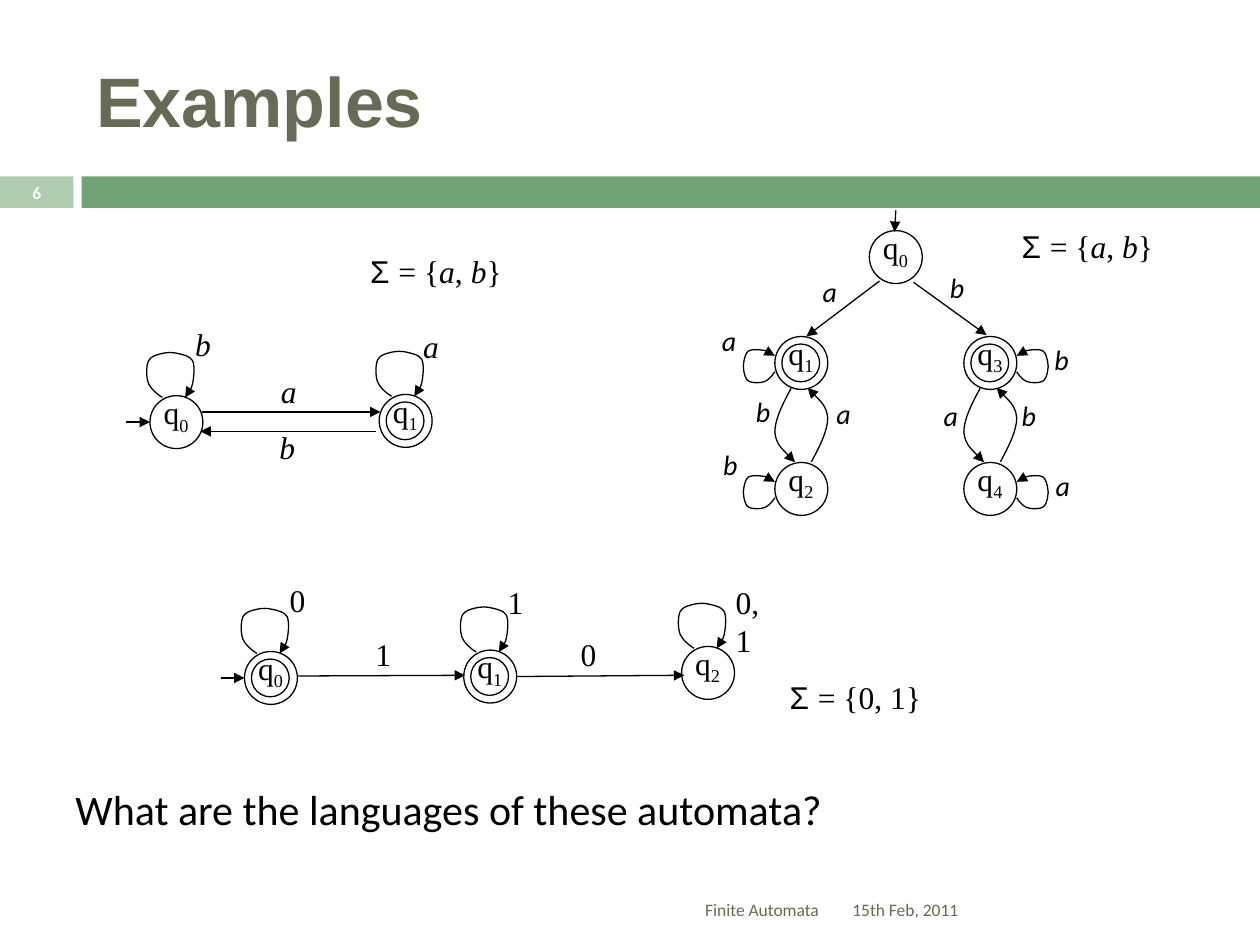
from dataclasses import dataclass, field

from lxml.etree import SubElement
from pptx import Presentation
from pptx.dml.color import RGBColor
from pptx.enum.shapes import MSO_CONNECTOR, MSO_SHAPE
from pptx.enum.text import MSO_ANCHOR, MSO_AUTO_SIZE, PP_ALIGN
from pptx.oxml.ns import qn
from pptx.util import Pt


@dataclass(frozen=True)
class Theme:
    ink: RGBColor = RGBColor(0x00, 0x00, 0x00)
    olive: RGBColor = RGBColor(0x67, 0x6A, 0x55)
    green: RGBColor = RGBColor(0x72, 0xA3, 0x76)
    pale_green: RGBColor = RGBColor(0xB0, 0xCC, 0xB0)
    white: RGBColor = RGBColor(0xFF, 0xFF, 0xFF)
    title_font: str = "Arial"
    body_font: str = "Calibri"
    math_font: str = "Times New Roman"
    title_size: float = 40
    body_size: float = 24
    math_size: float = 18
    edge_size: float = 16
    footer_size: float = 10
    line_width: float = 0.75


THEME = Theme()
STATE_SIZE, ACCEPT_SIZE = 30.24, 21.6

# Curves in points: a start, then three points for each cubic segment.
# Loop points are (along the rim, outwards); arc points are from the upper state.
LOOP = [(-6.5, 0), (-10, 2.2), (-13, 5), (-14.4, 8), (-15.8, 11.5), (-15.8, 18),
        (-14.4, 21), (-13, 23.8), (-9.4, 24.5), (-6.5, 25.2), (-3.6, 25.9),
        (-0.7, 25.9), (2.2, 25.2), (5, 24.5), (9.4, 23.8), (10.8, 21), (12.2, 18),
        (11.5, 11.5), (10.8, 8), (10, 5), (8, 2.2), (6.5, 0)]
ARC = [(-5.8, 14.5), (-10.8, 23.8), (-15.1, 32.4), (-15.1, 39.6),
       (-14.4, 46.8), (-3.6, 56.8), (-3.6, 56.8)]
ARC_SPAN = 71


@dataclass(frozen=True)
class Run:
    text: str
    font: str = THEME.math_font
    italic: bool = False
    subscript: bool = False


@dataclass(frozen=True)
class State:
    index: int
    x: float
    y: float
    accepting: bool = False
    loop: str = ""


@dataclass(frozen=True)
class Label:
    text: str
    left: float
    top: float
    width: float = 23.5
    wrap: bool = False


@dataclass(frozen=True)
class Automaton:
    states: list[State]
    arrows: list[tuple[float, float, float, float]]
    labels: list[Label]
    alphabet: tuple[str, str]
    alphabet_at: tuple[float, float]
    label_font: str = THEME.math_font
    label_size: float = THEME.math_size
    italic: bool = True
    arc_tops: list[tuple[float, float]] = field(default_factory=list)


AUTOMATA = [
    Automaton(
        [State(0, 100.8, 241.2, loop="top"), State(1, 231.8, 240.5, True, "top")],
        [(72, 241.2, 85.7, 241.2), (115.2, 235.4, 217.4, 235.4),
         (214.6, 246.5, 114.5, 246.5)],
        [Label("b", 104.4, 182.2), Label("a", 234.7, 183.6),
         Label("a", 153.4, 208.8), Label("b", 152.6, 241.2)],
        ("a", "b"), (204.5, 140.4)),
    Automaton(
        [State(0, 511.9, 146.9), State(1, 457.9, 207.4, True, "left"),
         State(2, 457.9, 279.4, loop="left"), State(3, 565.9, 207.4, True, "right"),
         State(4, 565.9, 279.4, loop="right")],
        [(511.9, 120.2, 511.2, 132.5), (502.6, 160.6, 460.8, 192.2),
         (522, 161.3, 563.8, 191.5)],
        [Label("a", 405.4, 181.4, 28), Label("b", 406.1, 252, 28),
         Label("a", 463, 153.4, 28), Label("a", 470.9, 223.2, 28),
         Label("a", 532.1, 223.9, 28), Label("a", 596.2, 264.2, 28),
         Label("b", 595.4, 192.2, 28), Label("b", 535.7, 151.2, 28),
         Label("b", 576.7, 223.9, 28), Label("b", 424.8, 221.8, 28)],
        ("a", "b"), (576.7, 126), THEME.body_font, THEME.edge_size,
        arc_tops=[(457.9, 207.4), (565.9, 207.4)]),
    Automaton(
        [State(0, 154.8, 387.4, True, "top"), State(1, 280.1, 386.6, True, "top"),
         State(2, 404.6, 384.5, loop="top")],
        [(126, 387.4, 139.7, 387.4), (169.9, 386.3, 265.7, 385.9),
         (295.2, 386.6, 391, 385.9)],
        [Label("0", 158.4, 328.3), Label("1", 283, 329.8), Label("1", 207.4, 359.3),
         Label("0", 324.7, 359.3), Label("0, 1", 413.3, 329.8, 41, True)],
        ("0", "1"), (444.2, 383.8), italic=False),
]


def apply_format(target, values: dict) -> None:
    for name, value in values.items():
        setattr(target, name, value)


def add_text(slide, runs: list[Run], box: tuple, size: float, color=THEME.ink,
             wrap=False, anchor=MSO_ANCHOR.TOP, align=PP_ALIGN.LEFT, bold=False):
    shape = slide.shapes.add_textbox(*map(Pt, box))
    fixed = anchor == MSO_ANCHOR.MIDDLE
    apply_format(shape.text_frame, {
        "word_wrap": wrap, "vertical_anchor": anchor,
        "auto_size": MSO_AUTO_SIZE.NONE if fixed else MSO_AUTO_SIZE.SHAPE_TO_FIT_TEXT})
    paragraph = shape.text_frame.paragraphs[0]
    paragraph.alignment = align
    for item in runs:
        run = paragraph.add_run()
        run.text = item.text
        apply_format(run.font, {"name": item.font, "size": Pt(size), "bold": bold,
                                "italic": item.italic})
        run.font.color.rgb = color
        if item.subscript:
            run.font._element.set("baseline", "-25000")


def add_bar(slide, box: tuple, color: RGBColor) -> None:
    shape = slide.shapes.add_shape(MSO_SHAPE.RECTANGLE, *map(Pt, box))
    shape.shadow.inherit = False
    shape.fill.solid()
    shape.fill.fore_color.rgb = color
    shape.line.fill.background()


def style_line(shape, arrow: bool = False) -> None:
    shape.line.color.rgb = THEME.ink
    shape.line.width = Pt(THEME.line_width)
    if arrow:
        outline = shape._element.spPr.find(qn("a:ln"))
        SubElement(outline, qn("a:tailEnd")).set("type", "triangle")


def add_circle(slide, x: float, y: float, size: float) -> None:
    box = (x - size / 2, y - size / 2, size, size)
    shape = slide.shapes.add_shape(MSO_SHAPE.OVAL, *map(Pt, box))
    shape.shadow.inherit = False
    shape.fill.background()
    style_line(shape)


def add_arrow(slide, ends: tuple) -> None:
    connector = slide.shapes.add_connector(MSO_CONNECTOR.STRAIGHT, *map(Pt, ends))
    style_line(connector, arrow=True)
    SubElement(connector._element.spPr, qn("a:effectLst"))


def add_curve(slide, points: list[tuple[float, float]]) -> None:
    start, *rest = [(Pt(x), Pt(y)) for x, y in points]
    builder = slide.shapes.build_freeform(*start)
    builder.add_line_segments(rest, close=False)
    shape = builder.convert_to_shape()
    # Gather each three straight segments into one cubic segment
    outline = next(shape._element.iter(qn("a:path")))
    segments = outline.findall(qn("a:lnTo"))
    for first in range(0, len(segments), 3):
        cubic = SubElement(outline, qn("a:cubicBezTo"))
        for segment in segments[first:first + 3]:
            cubic.append(segment[0])
            outline.remove(segment)
    shape.shadow.inherit = False
    shape.fill.background()
    style_line(shape, arrow=True)


def add_loop(slide, state: State) -> None:
    if state.loop == "top":
        points = [(state.x - 1.5 + along, state.y - 14 - out) for along, out in LOOP]
    else:
        side = -1 if state.loop == "left" else 1
        points = [(state.x + side * (15.1 + 0.7 * out), state.y + 0.5 - 0.7 * along)
                  for along, out in LOOP]
    add_curve(slide, points)


def add_state(slide, state: State) -> None:
    add_circle(slide, state.x, state.y, STATE_SIZE)
    if state.accepting:
        add_circle(slide, state.x - 0.3, state.y, ACCEPT_SIZE)
    if state.loop:
        add_loop(slide, state)
    add_text(slide, [Run("q"), Run(str(state.index), subscript=True)],
             (state.x - 14.4, state.y - 20.3, 28.8, 29), THEME.math_size)


def add_automaton(slide, automaton: Automaton) -> None:
    for state in automaton.states:
        add_state(slide, state)
    for ends in automaton.arrows:
        add_arrow(slide, ends)
    for x, y in automaton.arc_tops:
        add_curve(slide, [(x + dx, y + dy) for dx, dy in ARC])
        add_curve(slide, [(x - dx, y + ARC_SPAN - dy) for dx, dy in ARC])
    for label in automaton.labels:
        add_text(slide, [Run(label.text, automaton.label_font, automaton.italic)],
                 (label.left, label.top, label.width, automaton.label_size * 1.6),
                 automaton.label_size, wrap=label.wrap)
    first, second = (Run(symbol, italic=automaton.italic) for symbol in automaton.alphabet)
    add_text(slide, [Run("Σ ", THEME.title_font), Run("= {"), first, Run(", "), second,
                     Run("}")], (*automaton.alphabet_at, 89.3, 29), THEME.math_size)


def main() -> None:
    presentation = Presentation()
    apply_format(presentation, {"slide_width": Pt(720), "slide_height": Pt(540)})
    slide = presentation.slides.add_slide(presentation.slide_layouts[6])
    middle = {"wrap": True, "anchor": MSO_ANCHOR.MIDDLE}

    # Title and divider with the slide number
    add_bar(slide, (0, 100.8, 42, 18), THEME.pale_green)
    add_bar(slide, (46.6, 100.8, 673.4, 18), THEME.green)
    add_text(slide, [Run("Examples", THEME.title_font)], (48, 18, 642, 78),
             THEME.title_size, THEME.olive, bold=True, **middle)
    add_text(slide, [Run("6", THEME.body_font)], (0, 100.1, 42, 19.4), THEME.footer_size,
             THEME.white, align=PP_ALIGN.CENTER, bold=True, **middle)

    # Automata and the question
    for automaton in AUTOMATA:
        add_automaton(slide, automaton)
    add_text(slide, [Run("What are the languages of these automata?", THEME.body_font)],
             (36, 444.2, 486, 36), THEME.body_size)

    # Footer
    add_text(slide, [Run("Finite Automata", THEME.body_font)], (48, 505.5, 427, 28.8),
             THEME.footer_size, THEME.olive, align=PP_ALIGN.RIGHT, **middle)
    add_text(slide, [Run("15th Feb, 2011", THEME.body_font)], (480, 505.5, 210, 28.8),
             THEME.footer_size, THEME.olive, **middle)
    presentation.save("out.pptx")


if __name__ == "__main__":
    main()
